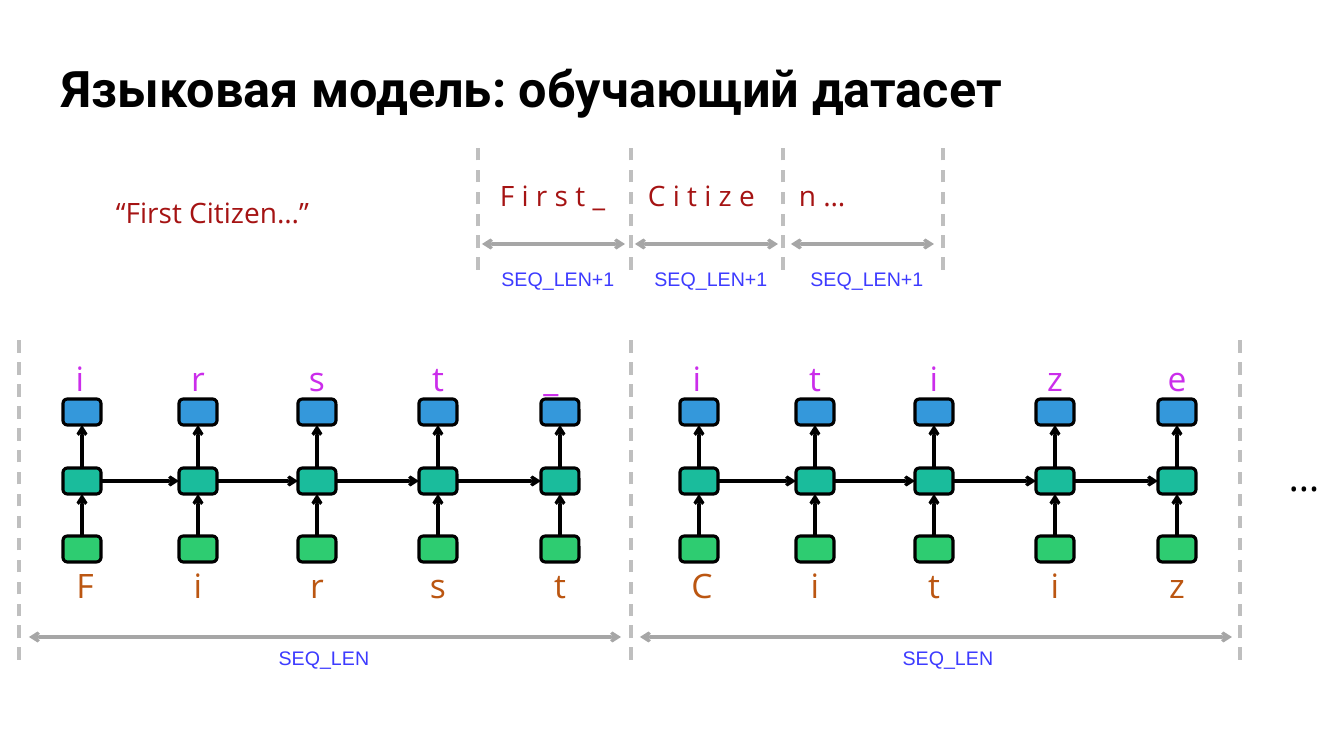
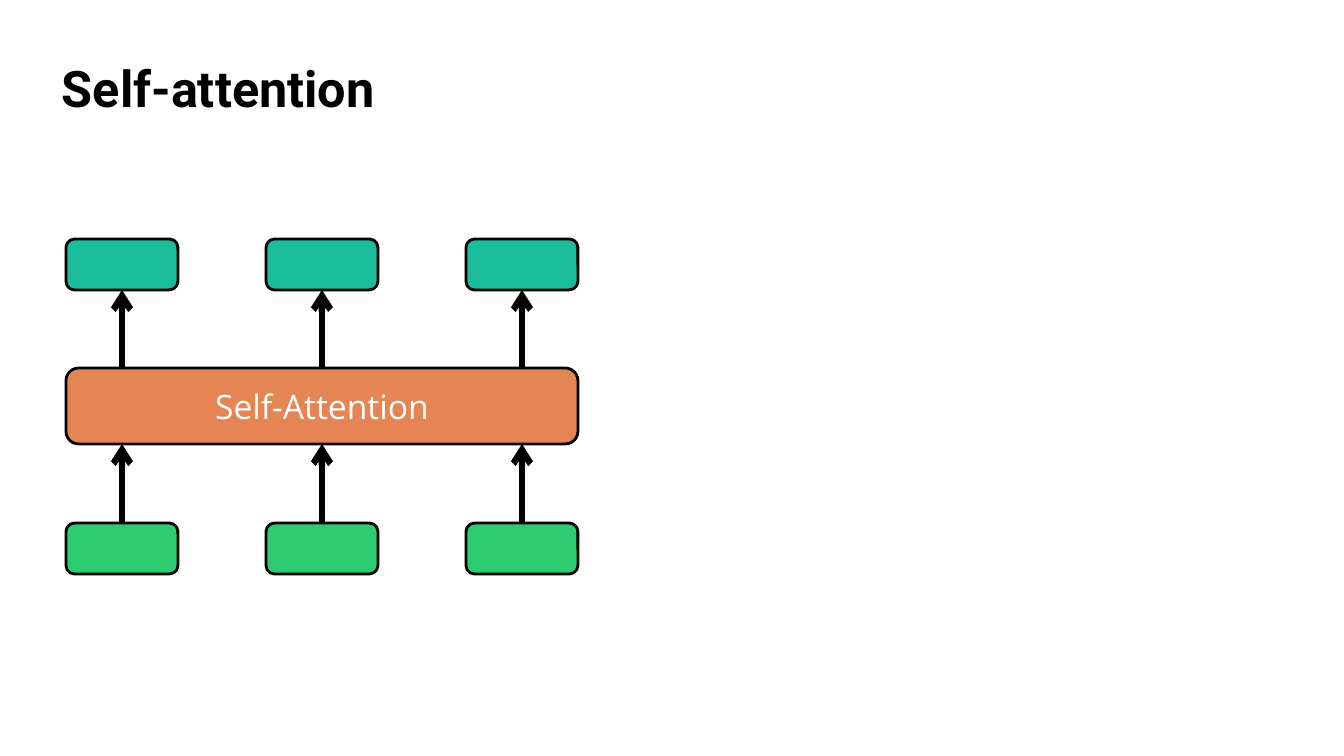
from itertools import pairwise

from lxml.etree import SubElement
from pptx import Presentation
from pptx.dml.color import RGBColor
from pptx.enum.dml import MSO_LINE
from pptx.enum.shapes import MSO_CONNECTOR, MSO_SHAPE
from pptx.enum.text import MSO_ANCHOR, MSO_AUTO_SIZE, PP_ALIGN
from pptx.oxml.ns import qn
from pptx.util import Emu, Pt

SLIDE_W, SLIDE_H = 1344, 756
SCALE = 12192000 / SLIDE_W  # EMU in one px

COLORS = {
    "black": "000000", "white": "FFFFFF", "quote": "A51313",
    "length": "3D3BFF", "target": "CB2DEB", "source": "BB5611",
    "divider": "BFBFBF", "span": "A6A6A6", "input": "2ECC71",
    "state": "1ABC9C", "output": "3498DB", "attention": "E68554",
}

# Text styles: colour key and font attributes
STYLES = {
    "title": ("black", {"name": "Roboto", "size": Pt(36), "bold": True}),
    "quote": ("quote", {"name": "Open Sans", "size": Pt(20)}),
    "length": ("length", {"name": "Arial", "size": Pt(14)}),
    "target": ("target", {"name": "Open Sans", "size": Pt(24)}),
    "source": ("source", {"name": "Open Sans", "size": Pt(24)}),
    "dots": ("black", {"name": "Open Sans", "size": Pt(28)}),
    "block": ("white", {"name": "Open Sans", "size": Pt(24)}),
}

TOP, LEFT, BOTTOM, RIGHT = range(4)  # connection sites

# Unrolled network
COLUMNS = [82, 198, 317, 438, 560]
WINDOW_STEP = 617
NODE_W, NODE_H = 38, 26
ROWS = {"output": 399, "state": 468, "input": 536}
FIRST_NUDGE = {"target": -2, "source": 3}
UNDERSCORE_NUDGE = -9


def px(n):
    return Emu(round(n * SCALE))


def rgb(key):
    return RGBColor.from_string(COLORS[key])


def write(tf, text, style, align):
    p = tf.paragraphs[0]
    p.alignment = align
    r = p.add_run()
    r.text = text
    color, values = STYLES[style]
    for name, value in values.items():
        setattr(r.font, name, value)
    r.font.color.rgb = rgb(color)
    return p


def add_text(s, x, y, w, h, text, style, align=PP_ALIGN.LEFT):
    tf = s.shapes.add_textbox(px(x), px(y), px(w), px(h)).text_frame
    tf.word_wrap = True
    tf.auto_size = MSO_AUTO_SIZE.SHAPE_TO_FIT_TEXT
    write(tf, text, style, align)
    return tf


def add_label(s, cx, y, w, h, text, style):
    add_text(s, cx - w // 2, y, w, h, text, style, PP_ALIGN.CENTER)


def add_title(s, text):
    tf = s.shapes.add_textbox(px(52), px(55), px(1279), px(73)).text_frame
    tf.word_wrap = True
    tf.vertical_anchor = MSO_ANCHOR.MIDDLE
    write(tf, text, "title", PP_ALIGN.LEFT).line_spacing = 0.9


def add_node(s, x, y, w, h, fill, weight):
    sp = s.shapes.add_shape(MSO_SHAPE.ROUNDED_RECTANGLE,
                            px(x), px(y), px(w), px(h))
    sp.shadow.inherit = False
    sp.fill.solid()
    sp.fill.fore_color.rgb = rgb(fill)
    sp.line.color.rgb = rgb("black")
    sp.line.width = Pt(weight)
    return sp


def add_line(s, start, end, color, weight=2.25, heads=(), dash=None):
    line = s.shapes.add_connector(MSO_CONNECTOR.STRAIGHT,
                                  *map(px, start + end))
    line.line.color.rgb = rgb(color)
    line.line.width = Pt(weight)
    if dash:
        line.line.dash_style = dash
    ln = line.line._get_or_add_ln()
    for head in heads:
        SubElement(ln, qn(f"a:{head}"), type="arrow")
    SubElement(line._element.spPr, qn("a:effectLst"))
    return line


def add_arrow(s, start, end, weight=2.25, begin=None, finish=None):
    """Black arrow; begin and finish are (shape, site) joints."""
    line = add_line(s, start, end, "black", weight, ["tailEnd"])
    if begin:
        line.begin_connect(*begin)
    if finish:
        line.end_connect(*finish)


def add_divider(s, x, top, bottom):
    add_line(s, (x, bottom), (x, top), "divider", dash=MSO_LINE.DASH)


def add_span(s, x1, x2, y, text, cx, label_y):
    add_line(s, (x1, y), (x2, y), "span", heads=["headEnd", "tailEnd"])
    add_label(s, cx, label_y, 160, 34, text, "length")


def add_window(s, dx, sources, targets):
    """One unrolled window: inputs below, targets above."""
    states = []
    for i, cx in enumerate(COLUMNS):
        cx += dx
        node = {kind: add_node(s, cx - NODE_W // 2, y, NODE_W, NODE_H,
                               kind, 2.25)
                for kind, y in ROWS.items()}
        states.append((cx, node["state"]))
        for low, high in (("input", "state"), ("state", "output")):
            add_arrow(s, (cx, ROWS[low]), (cx, ROWS[high] + NODE_H),
                      begin=(node[low], TOP), finish=(node[high], BOTTOM))
        for style, text, y in (("target", targets[i], 353),
                               ("source", sources[i], 560)):
            nudge = FIRST_NUDGE[style] if i == 0 else 0
            if text == "_":
                nudge = UNDERSCORE_NUDGE
            add_label(s, cx + nudge, y, 90, 50, text, style)

    mid = ROWS["state"] + NODE_H // 2
    for (cx1, a), (cx2, b) in pairwise(states):
        add_arrow(s, (cx1 + NODE_W // 2, mid), (cx2 - NODE_W // 2, mid),
                  begin=(a, RIGHT), finish=(b, LEFT))


def build_dataset(s):
    add_title(s, "Языковая модель: обучающий датасет")
    add_text(s, 93, 191, 239, 44, "“First Citizen…”", "quote",
             PP_ALIGN.CENTER)

    # Text cut into chunks: text left, arrow left, label centre
    for x in (478, 631, 783, 943):
        add_divider(s, x, 143, 270)
    for text, x, x1, cx in (("F i r s t _", 490, 482, 558),
                            ("C i t i z e", 638, 635, 711),
                            ("n …", 789, 791, 867)):
        add_text(s, x, 174, 145, 44, text, "quote")
        add_span(s, x1, x1 + 143, 244, "SEQ_LEN+1", cx, 262)

    # Training windows
    add_window(s, 0, "First", "irst_")
    add_window(s, WINDOW_STEP, "Citiz", "itize")
    add_label(s, 1304, 447, 76, 57, "…", "dots")
    for x in (19, 631, 1240):
        add_divider(s, x, 332, 660)
    for x1, cx in ((29, 324), (640, 948)):
        add_span(s, x1, x1 + 592, 637, "SEQ_LEN", cx, 641)


def build_attention(s):
    add_title(s, "Self-attention")
    left, step, w, h = 66, 200, 112, 51
    out_y, band_y, in_y, band_h = 239, 368, 523, 76

    # Attention block
    band = add_node(s, left, band_y, 2 * step + w, band_h, "attention", 2)
    band.text_frame.vertical_anchor = MSO_ANCHOR.MIDDLE
    write(band.text_frame, "Self-Attention", "block", PP_ALIGN.CENTER)

    # Inputs and outputs
    for i in range(3):
        x = left + i * step
        cx = x + w // 2
        middle = i == 1
        source = add_node(s, x, in_y, w, h, "input", 2)
        result = add_node(s, x, out_y, w, h, "state", 2)
        add_arrow(s, (cx, in_y), (cx, band_y + band_h), 4.5,
                  (source, TOP), (band, BOTTOM) if middle else None)
        add_arrow(s, (cx, band_y), (cx, out_y + h), 4.5,
                  (band, TOP) if middle else None, (result, BOTTOM))


def main():
    prs = Presentation()
    prs.slide_width, prs.slide_height = px(SLIDE_W), px(SLIDE_H)
    for build in (build_dataset, build_attention):
        build(prs.slides.add_slide(prs.slide_layouts[6]))
    prs.save("out.pptx")


if __name__ == "__main__":
    main()
